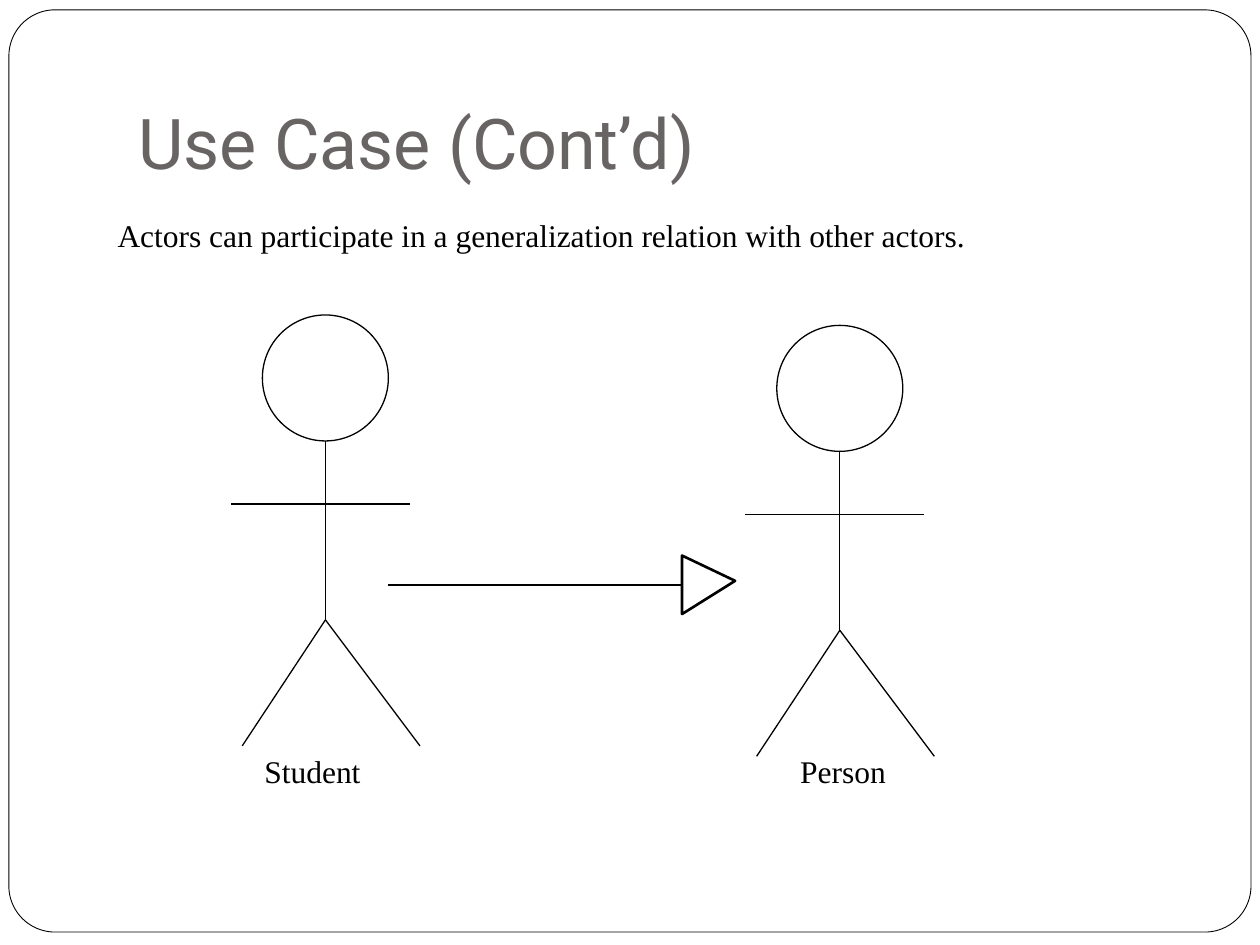
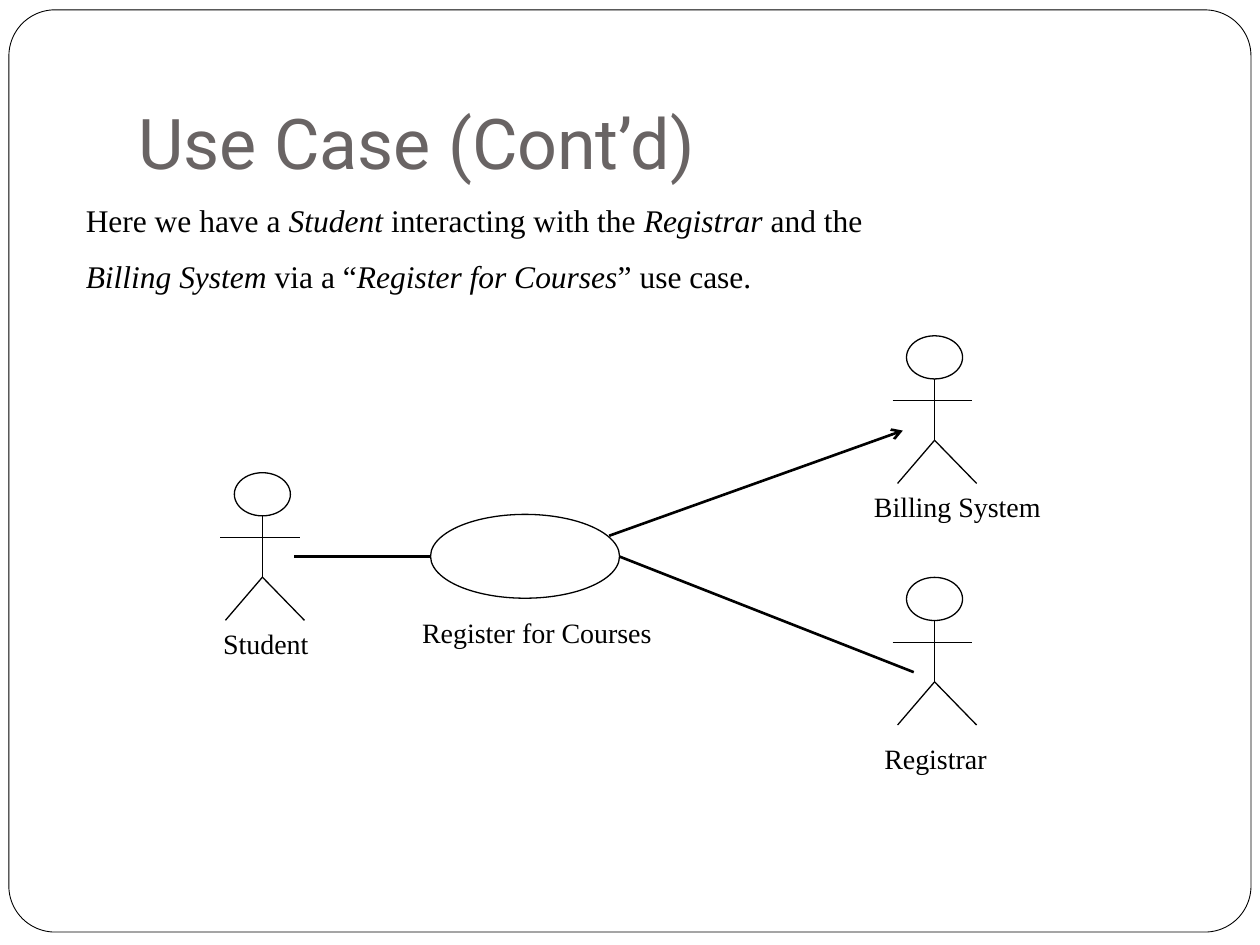
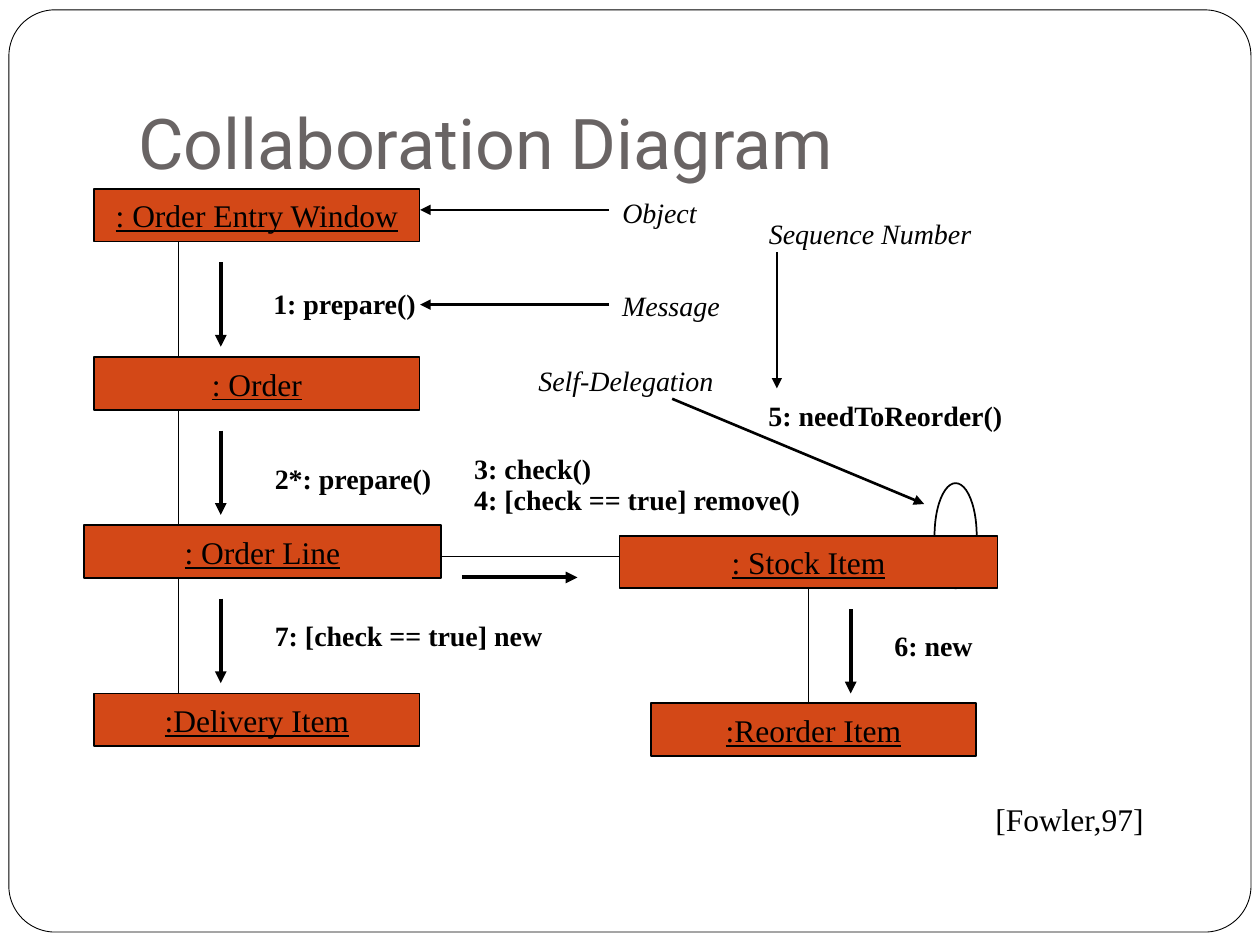
import pptx
import pptx.util
import pptx.dml.color
import pptx.enum.shapes
import pptx.enum.text
import pptx.oxml.ns
import lxml.etree

Cm = pptx.util.Cm
Pt = pptx.util.Pt
KIND = pptx.enum.shapes.MSO_SHAPE
ALIGN = pptx.enum.text.PP_ALIGN
ANCHOR = pptx.enum.text.MSO_ANCHOR
FIT = pptx.enum.text.MSO_AUTO_SIZE
COLORS = {"ink": "000000", "paper": "FFFFFF", "title": "696464", "box": "D34817"}
SERIF = "Times New Roman"
SANS = "Roboto"
HEAD = 2.54
BOX_H = 1.06
STEP = 3.39


def color(name):
    return pptx.dml.color.RGBColor.from_string(COLORS[name])


def paint(shape, fill, width):
    shape.shadow.inherit = False
    if fill:
        shape.fill.solid()
        shape.fill.fore_color.rgb = color(fill)
    else:
        shape.fill.background()
    shape.line.color.rgb = color("ink")
    shape.line.width = Pt(width)


def shape(slide, kind, place, fill=None, width=0.75):
    item = slide.shapes.add_shape(kind, *map(Cm, place))
    paint(item, fill, width)
    return item


def write(frame, rows, size, font=SERIF, ink="ink", align=ALIGN.LEFT):
    for index, row in enumerate(rows):
        para = frame.paragraphs[0] if index == 0 else frame.add_paragraph()
        para.alignment = align
        if index:
            para.space_before = Pt(10)
        for text, style in row:
            run = para.add_run()
            run.text = text
            run.font.size = Pt(size)
            run.font.name = font
            run.font.color.rgb = color(ink)
            run.font.bold = "b" in style
            run.font.italic = "i" in style
            run.font.underline = "u" in style


def note(slide, place, rows, size=16, anchor=ANCHOR.TOP, wrap=False, **look):
    frame = slide.shapes.add_textbox(*map(Cm, place)).text_frame
    frame.word_wrap = wrap
    frame.auto_size = FIT.SHAPE_TO_FIT_TEXT
    frame.vertical_anchor = anchor
    write(frame, rows, size, **look)


def label(slide, place, text, style="", size=16):
    note(slide, place, [[(text, style)]], size, ANCHOR.MIDDLE, align=ALIGN.CENTER)


def line(slide, start, end, width=0.75, tip=None):
    wire = slide.shapes.add_connector(
        pptx.enum.shapes.MSO_CONNECTOR.STRAIGHT, *map(Cm, (*start, *end)))
    wire.line.color.rgb = color("ink")
    wire.line.width = Pt(width)
    qn = pptx.oxml.ns.qn
    if tip:
        lxml.etree.SubElement(wire.line._get_or_add_ln(), qn("a:tailEnd"), type=tip)
    lxml.etree.SubElement(wire._element.spPr, qn("a:effectLst"))
    return wire


def actor(slide, mid, top, wide=HEAD, high=HEAD):
    def spot(across, down):
        return mid + across * wide, top + down * high

    shape(slide, KIND.OVAL, (mid - wide / 2, top, wide, high))
    hip = spot(0, 2.42)
    line(slide, spot(0, 1), hip)
    line(slide, hip, spot(0.75, 3.42))
    line(slide, hip, spot(-0.66, 3.42))
    line(slide, spot(-0.75, 1.5), spot(0.67, 1.5))


def box(slide, left, top, width, text):
    item = shape(slide, KIND.RECTANGLE, (left, top, width, BOX_H), "box", 1)
    frame = item.text_frame
    frame.word_wrap = False
    frame.vertical_anchor = ANCHOR.MIDDLE
    write(frame, [[(text, "u")]], 18, align=ALIGN.CENTER)
    return item


def call(slide, across, top):
    line(slide, (across, top + 1.48), (across, top + 3.18), 2.25, "triangle")


def start(deck, title):
    slide = deck.slides.add_slide(deck.slide_layouts[6])
    frame = shape(slide, KIND.ROUNDED_RECTANGLE, (0.18, 0.2, 25.04, 18.59), "paper", 0.5)
    frame.adjustments[0] = 0.05
    head = slide.shapes.add_textbox(*map(Cm, (2.54, 0.76, 21.59, 3.18))).text_frame
    head.word_wrap = True
    head.vertical_anchor = ANCHOR.BOTTOM
    head.margin_bottom = Cm(0.25)
    write(head, [[(title, "")]], 40, SANS, "title")
    return slide


def general(deck):
    slide = start(deck, "Use Case (Cont’d)")
    actor(slide, 6.56, 6.35)
    actor(slide, 16.93, 6.56)
    line(slide, (13.76, 11.79), (7.83, 11.79))
    pen = slide.shapes.build_freeform(Cm(14.82), Cm(11.71), scale=1.0)
    pen.add_line_segments([(Cm(13.75), Cm(11.2)), (Cm(13.75), Cm(12.38))], close=True)
    paint(pen.convert_to_shape(), "paper", 1.5)
    for left, width, name in ((5.08, 3.6, "Student"), (15.88, 2.96, "Person")):
        note(slide, (left, 15.03, width, 1.27), [[(name, "")]], 18, wrap=True)
    text = "Actors can participate in a generalization relation with other actors."
    note(slide, (2.12, 3.6, 21.17, 2.28), [[(text, "")]], 18, ANCHOR.MIDDLE, True)


def register(deck):
    slide = start(deck, "Use Case (Cont’d)")
    for mid, top in ((5.29, 9.53), (18.84, 6.77), (18.84, 11.64)):
        actor(slide, mid, top, 1.13, 0.87)
    shape(slide, KIND.OVAL, (8.68, 10.37, 3.81, 1.69), "paper")
    line(slide, (5.93, 11.22), (8.68, 11.22), 1.5)
    line(slide, (12.28, 10.8), (18.2, 8.68), 1.5, "arrow")
    line(slide, (12.49, 11.22), (18.42, 13.55), 1.5)
    for left, top, width, name in (
            (4.24, 12.5, 2.24, "Student"),
            (17.36, 9.74, 3.88, "Billing System"),
            (17.57, 14.82, 2.58, "Registrar")):
        label(slide, (left, top, width, 0.94), name)
    note(slide, (8.26, 12.28, 5.93, 0.94), [[("Register for Courses", "")]], wrap=True)
    rows = [
        [("Here we have a ", ""), ("Student", "i"), (" interacting with the ", ""),
         ("Registrar", "i"), (" and the", "")],
        [("Billing System", "i"), (" via a “", ""), ("Register for Courses", "i"),
         ("” use case.", "")],
    ]
    note(slide, (1.48, 3.6, 21.56, 2.79), rows, 18, ANCHOR.MIDDLE, True)


def collab(deck):
    slide = start(deck, "Collaboration Diagram")
    shape(slide, KIND.OVAL, (18.84, 9.74, 0.85, 2.12), width=1)
    chain = (
        (1.9, 6.56, ": Order Entry Window"),
        (1.9, 6.56, ": Order"),
        (1.69, 7.2, ": Order Line"),
        (1.9, 6.56, ":Delivery Item"),
    )
    tops = [3.81 + index * STEP for index in range(len(chain))]
    for top, (left, width, text) in zip(tops, chain):
        box(slide, left, top, width, text)
    for top in tops[:-1]:
        line(slide, (3.6, top + BOX_H), (3.6, top + STEP), 1)
        call(slide, 4.45, top)
    stock = box(slide, 12.49, 10.8, 7.62, ": Stock Item")
    box(slide, 13.12, 14.18, 6.56, ":Reorder Item")
    wire = line(slide, (16.3, 11.86), (16.3, 14.18), 1)
    wire.begin_connect(stock, 2)
    call(slide, 17.15, 10.8)
    line(slide, (8.89, 11.22), (12.49, 11.22), 1)
    line(slide, (9.31, 11.64), (11.64, 11.64), 2.25, "triangle")
    for left, top, width, text in (
            (5.26, 5.66, 3.43, "1: prepare()"),
            (5.29, 9.17, 3.71, "2*: prepare()"),
            (9.31, 8.97, 2.9, "3: check()"),
            (9.31, 9.6, 7.14, "4: [check == true] remove()"),
            (15.24, 7.9, 5.31, "5: needToReorder()"),
            (17.78, 12.55, 2.08, "6: new"),
            (5.29, 12.34, 5.92, "7: [check == true] new")):
        note(slide, (left, top, width, 0.94), [[(text, "b")]])
    for tail, tip in (
            ((12.28, 4.23), (8.47, 4.23)),
            ((12.28, 6.14), (8.47, 6.14)),
            ((15.66, 5.08), (15.66, 7.83)),
            ((13.55, 8.04), (18.63, 10.16))):
        line(slide, tail, tip, 1.5, "triangle")
    for left, top, width, text in (
            (10.59, 7.2, 4.06, "Self-Delegation"),
            (12.28, 3.81, 2.03, "Object"),
            (12.28, 5.69, 2.49, "Message"),
            (15.24, 4.24, 4.6, "Sequence Number")):
        label(slide, (left, top, width, 0.94), text, "i")
    label(slide, (19.3, 15.88, 4.52, 1.27), "[Fowler,97]", size=18)


def main():
    deck = pptx.Presentation()
    deck.slide_width = Cm(25.4)
    deck.slide_height = Cm(19.05)
    general(deck)
    register(deck)
    collab(deck)
    deck.save("out.pptx")


if __name__ == "__main__":
    main()
